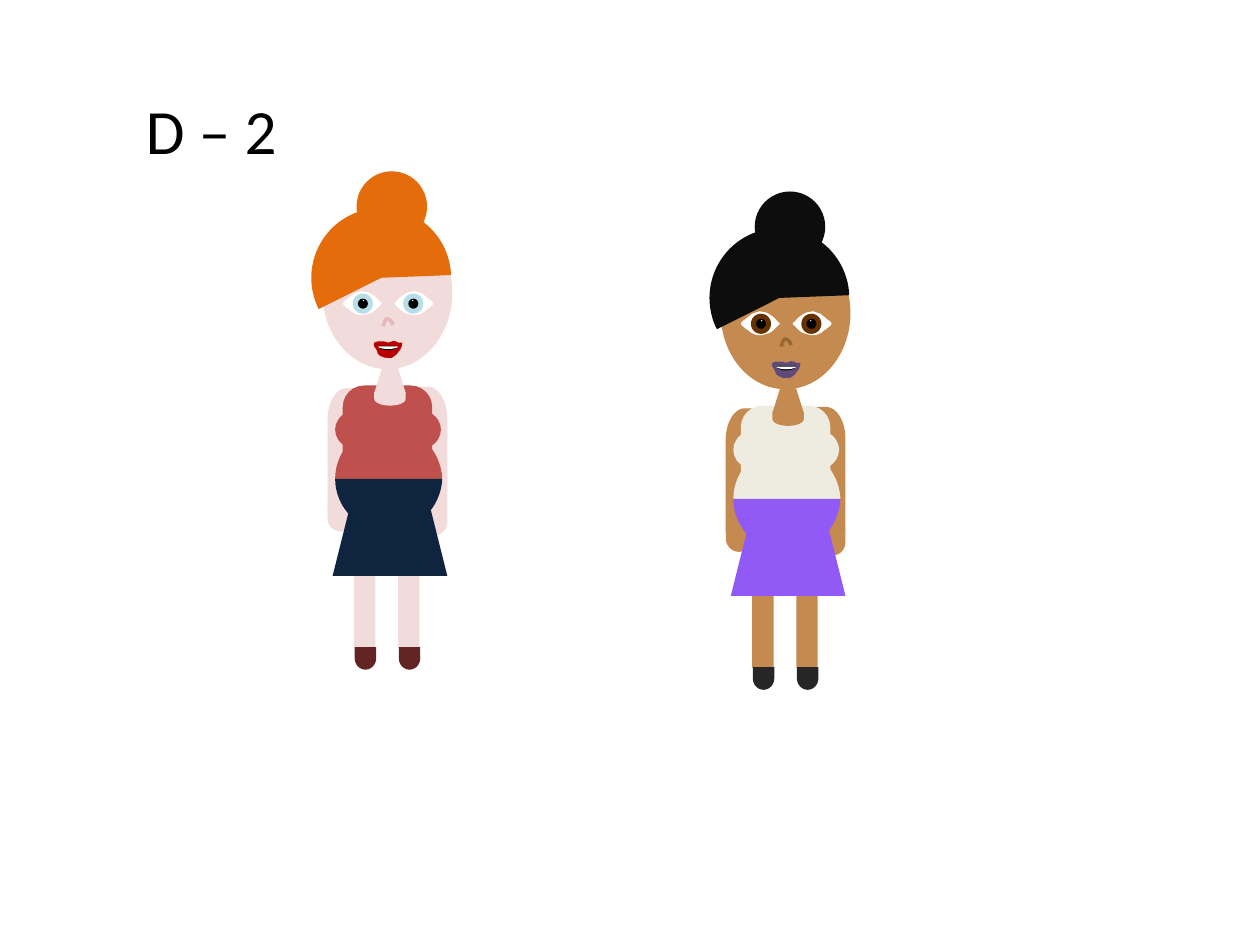
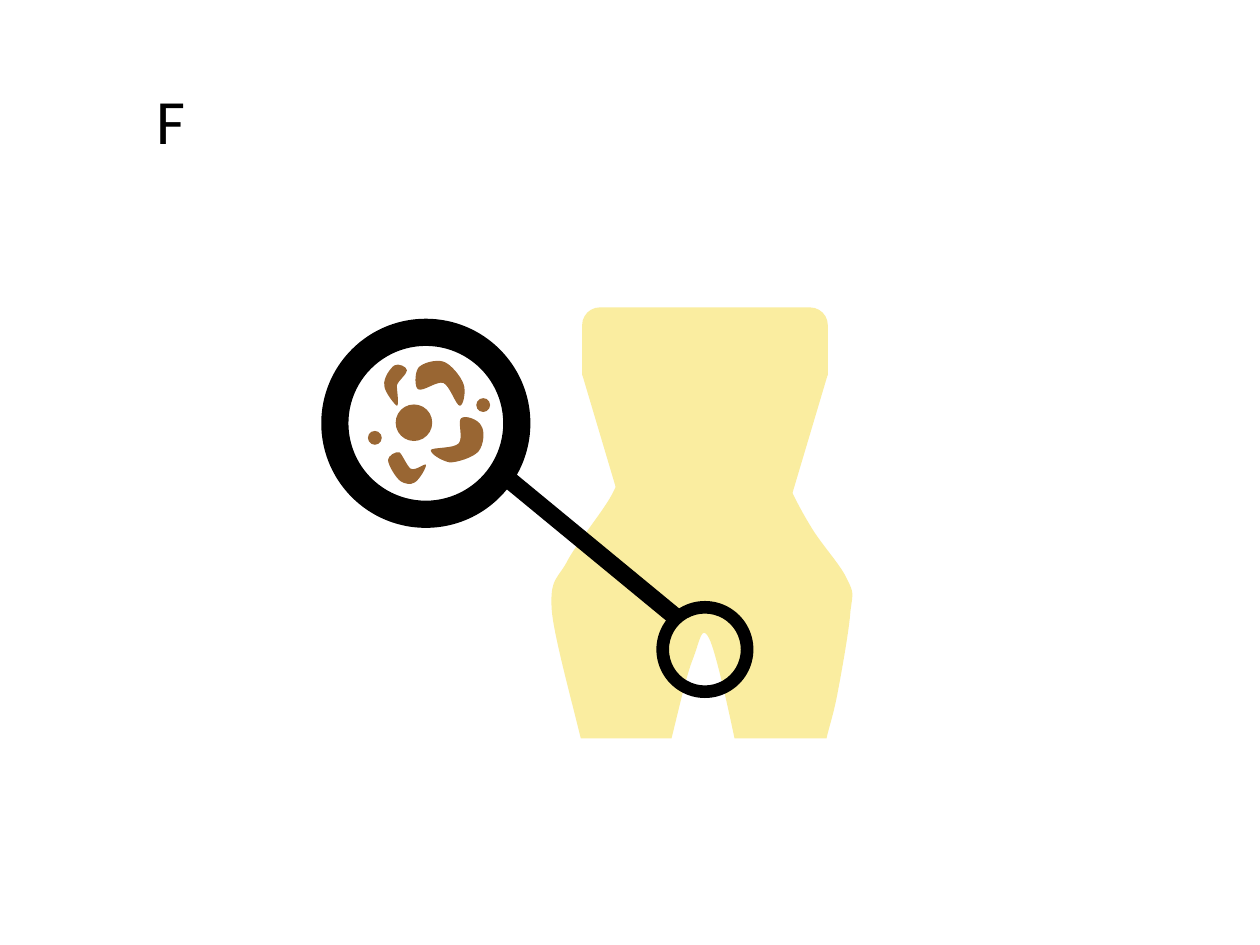
import lxml.etree
import pptx
import pptx.dml.color
import pptx.enum.shapes
import pptx.enum.text
import pptx.oxml.ns
import pptx.util

SHAPE = pptx.enum.shapes.MSO_SHAPE
PX = 9144  # 100 px to the inch
FONT = "Calibri"
BLACK, WHITE = "000000", "FFFFFF"
BODY, SPOT = "FAEDA0", "996633"

# Outlines: a start point, then lines (x, y) or Bezier curves (x1, y1, x2, y2, x, y)
ARM = [(8, 0), (0, 0), (0, 98), (23, 98), (23, 25), (23, 11, 16, 0, 8, 0)]
EYE = [(0, 10), (0, 9, 2, 7, 4, 6), (6, 4, 8, 3, 9, 2), (11, 1, 13, 1, 15, 0),
       (16, 0, 18, 1, 20, 1), (22, 2, 24, 3, 25, 4), (27, 5, 28, 7, 29, 8),
       (30, 9, 31, 9, 31, 10), (30, 11, 28, 13, 26, 15), (25, 16, 22, 18, 20, 18),
       (18, 19, 16, 19, 14, 19), (12, 19, 10, 18, 8, 17), (7, 16, 6, 15, 4, 14),
       (3, 13, 0, 11, 0, 10)]
NOSE = [(0, 6), (1, 3, 2, 0, 3, 0), (5, 0, 7, 2, 8, 5)]
LIPS = [(0, 1), (1, 0, 4, 0, 4, 0), (5, 0, 7, 0, 8, 0), (9, 0, 10, 1, 11, 1),
        (12, 1, 13, 0, 14, 0), (14, -1, 16, 0, 17, 0), (17, 0, 18, 0, 19, 1),
        (20, 1, 22, 1, 22, 1), (23, 1, 22, 2, 22, 2), (22, 3, 22, 4, 21, 6),
        (20, 7, 19, 9, 18, 10), (17, 11, 16, 12, 14, 13), (13, 13, 11, 13, 10, 13),
        (9, 13, 7, 13, 6, 12), (5, 12, 4, 11, 3, 10), (3, 9, 2, 8, 2, 7),
        (1, 6, 1, 5, 0, 4), (0, 3, -1, 2, 0, 1)]
BELLY = [(42, 0), (65, 0, 84, 19, 85, 42), (0, 42), (0, 19, 19, 0, 42, 0)]
HIPS = [(52, 134), (185, 134), (188, 142, 197, 160, 205, 173),
        (213, 187, 229, 204, 234, 215), (240, 227, 239, 226, 237, 241),
        (236, 256, 230, 289, 227, 305), (224, 321, 221, 330, 219, 338), (218, 342),
        (145, 342), (140, 318, 130, 273, 125, 263), (119, 251, 118, 263, 112, 279),
        (107, 291, 100, 322, 95, 342), (23, 342), (16, 313, 2, 262, 0, 241),
        (-2, 214, 5, 216, 13, 200), (22, 184, 43, 159, 49, 146),
        (52, 141, 52, 137, 52, 134)]
BLOBS = [
    [(60, 69), (59, 69, 50, 58, 50, 53), (49, 47, 55, 39, 58, 37),
     (61, 35, 68, 38, 68, 41), (68, 44, 61, 49, 60, 53), (60, 57, 62, 69, 60, 69)],
    [(111, 79), (114, 76, 125, 80, 127, 85), (130, 89, 129, 100, 125, 105),
     (121, 110, 108, 114, 102, 114), (96, 113, 86, 107, 87, 104),
     (89, 102, 105, 103, 109, 99), (113, 95, 108, 81, 111, 79)],
    [(53, 112), (53, 116, 59, 126, 63, 129), (66, 131, 71, 132, 74, 130),
     (78, 128, 84, 117, 83, 116), (83, 114, 75, 121, 71, 119),
     (68, 117, 64, 107, 62, 106), (59, 105, 53, 109, 53, 112)],
    [(77, 56), (74, 55, 74, 43, 77, 39), (80, 35, 91, 32, 97, 34),
     (103, 36, 111, 46, 113, 52), (115, 57, 113, 69, 110, 69),
     (107, 69, 102, 53, 97, 51), (92, 49, 81, 58, 77, 56)],
]

WOMEN = [
    dict(x=247, y=136, skin="F2DCDB", hair="E46C0A", top="C0504D", skirt="0F243E",
         iris="B7DEE8", nose="E6B9B8", lips="B80000", shoes="632523"),
    dict(x=563, y=152, skin="C58A4F", hair="0D0D0D", top="EEECE1", skirt="9159F5",
         iris="663300", nose="9A6632", lips="604A7B", shoes="262626"),
]


def rgb(color):
    return pptx.dml.color.RGBColor.from_string(color)


def bend(sp, segments):
    """Turn the straight segments of a freeform into its Bezier curves."""
    qn = pptx.oxml.ns.qn
    lines = list(sp._element.iter(qn("a:lnTo")))
    for line, points in zip(lines, segments):
        if len(points) == 1:
            continue
        curve = lxml.etree.Element(qn("a:cubicBezTo"))
        for x, y in points:
            pt = lxml.etree.SubElement(curve, qn("a:pt"))
            pt.set("x", str(x - sp.left))
            pt.set("y", str(y - sp.top))
        line.getparent().replace(line, curve)


class Canvas:
    """A group of shapes, placed relative to its corner x, y."""

    def __init__(self, slide, x, y):
        self.shapes = slide.shapes.add_group_shape().shapes
        self.x, self.y = x, y

    def add(self, kind, x, y, w, h, fill, adj=(), rot=0):
        sp = self.shapes.add_shape(
            kind, (self.x + x) * PX, (self.y + y) * PX, w * PX, h * PX)
        for i, value in enumerate(adj):
            sp.adjustments[i] = value
        sp.rotation = rot
        self.paint(sp, fill)

    def circle(self, x, y, size, fill):
        self.add(SHAPE.OVAL, x, y, size, size, fill)

    def outline(self, outline, x, y, fill=None, line=None, flip_w=None, flip_h=None):
        """Draw an outline, mirrored within flip_w or flip_h if given."""
        def place(px, py):
            px = px if flip_w is None else flip_w - px
            py = py if flip_h is None else flip_h - py
            return (self.x + x + px) * PX, (self.y + y + py) * PX

        segments = [[place(*pair) for pair in zip(seg[::2], seg[1::2])]
                    for seg in outline]
        ends = [points[-1] for points in segments]
        builder = self.shapes.build_freeform(*ends[0], scale=1.0)
        builder.add_line_segments(ends[1:], close=fill is not None)
        sp = builder.convert_to_shape()
        bend(sp, segments[1:])
        self.paint(sp, fill, line)

    @staticmethod
    def paint(sp, fill, line=None):
        sp.shadow.inherit = False
        if fill:
            sp.fill.solid()
            sp.fill.fore_color.rgb = rgb(fill)
        else:
            sp.fill.background()
        if line:
            sp.line.color.rgb = rgb(line)
            sp.line.width = pptx.util.Pt(2)
        else:
            sp.line.fill.background()


def add_label(slide, text, x, y, w, h):
    tf = slide.shapes.add_textbox(x * PX, y * PX, w * PX, h * PX).text_frame
    tf.word_wrap = False
    tf.auto_size = pptx.enum.text.MSO_AUTO_SIZE.SHAPE_TO_FIT_TEXT
    r = tf.paragraphs[0].add_run()
    r.text = text
    r.font.name = FONT
    r.font.size = pptx.util.Pt(36)
    r.font.color.rgb = rgb(BLACK)


def draw_limbs(c, skin):
    for x, y in ((87, 268), (13, 265)):
        c.add(SHAPE.FLOWCHART_DELAY, x, y, 21, 21, skin, rot=90)
    for x in (69, 34):
        c.add(SHAPE.RECTANGLE, x, 282, 17, 96, skin)
    c.outline(ARM, 85, 171, skin)
    c.outline(ARM, 13, 172, skin, flip_w=23)


def draw_eye(c, x, y, iris, mirrored):
    width = 31
    c.outline(EYE, x, y, WHITE, flip_w=width if mirrored else None)
    for dx, dy, size, fill in ((8, 2, 16, iris), (12, 6, 8, BLACK), (16, 7, 1, WHITE)):
        c.circle(x + (width - dx - size if mirrored else dx), y + dy, size, fill)


def draw_head(c, look):
    c.add(SHAPE.TRAPEZOID, 50, 143, 25, 33, look["skin"], adj=[0.41])
    c.add(SHAPE.OVAL, 9, 36, 103, 121, look["skin"])
    c.add(SHAPE.PIE, 0, 29, 111, 111, look["hair"], adj=[38.05, 160.65], rot=90)
    c.circle(36, 0, 56, look["hair"])
    draw_eye(c, 25, 95, look["iris"], mirrored=False)
    draw_eye(c, 66, 95, look["iris"], mirrored=True)
    c.outline(NOSE, 57, 117, line=look["nose"])
    c.outline(LIPS, 50, 135, look["lips"])
    for y, h, fill in ((135, 7, BLACK), (137, 4, WHITE)):
        c.add(SHAPE.PIE, 53, y, 16, h, fill, adj=[0, 108])


def draw_woman(slide, look):
    c = Canvas(slide, look["x"], look["y"])
    draw_limbs(c, look["skin"])
    c.add(SHAPE.TRAPEZOID, 17, 231, 91, 90, look["skirt"])
    c.add(SHAPE.ROUND_2_SAME_RECTANGLE, 25, 170, 71, 96, look["top"], adj=[0.24, 0])
    draw_head(c, look)
    c.add(SHAPE.FLOWCHART_DELAY, 57, 168, 11, 25, look["skin"], rot=90)
    c.add(SHAPE.OVAL, 66, 189, 37, 32, look["top"])
    c.outline(BELLY, 19, 202, look["top"])
    c.outline(BELLY, 19, 244, look["skirt"], flip_h=42)
    c.add(SHAPE.OVAL, 19, 189, 37, 32, look["top"])
    for x in (34, 69):
        c.add(SHAPE.FLOWCHART_DELAY, x, 378, 18, 17, look["shoes"], rot=90)


def draw_torso(slide, x, y):
    c = Canvas(slide, x, y)
    c.outline(HIPS, 0, 0, BODY)
    c.add(SHAPE.FLOWCHART_MANUAL_OPERATION, 24, 53, 195, 131, BODY)
    c.add(SHAPE.ROUND_2_SAME_RECTANGLE, 24, 0, 195, 54, BODY, adj=[0.26, 0])


def draw_magnifier(slide, x, y):
    c = Canvas(slide, x, y)
    c.add(SHAPE.DONUT, 266, 224, 77, 77, BLACK, adj=[0.13])
    c.add(SHAPE.ROUNDED_RECTANGLE, 116, 171, 188, 14, BLACK, rot=39.5)
    c.add(SHAPE.DONUT, 0, 0, 166, 166, BLACK, adj=[0.13])
    for dx, dy, size in ((59, 68, 29), (123, 63, 11), (37, 89, 11)):
        c.circle(dx, dy, size, SPOT)
    for blob in BLOBS:
        c.outline(blob, 0, 0, SPOT)


def main():
    prs = pptx.Presentation()
    prs.slide_width, prs.slide_height = 1000 * PX, 750 * PX
    blank = prs.slide_layouts[6]

    s = prs.slides.add_slide(blank)
    add_label(s, "D – 2", 106, 68, 125, 101)
    for look in WOMEN:
        draw_woman(s, look)

    s = prs.slides.add_slide(blank)
    add_label(s, "F", 114, 60, 43, 71)
    draw_torso(s, 438, 244)
    draw_magnifier(s, 255, 253)

    prs.save("out.pptx")


if __name__ == "__main__":
    main()
